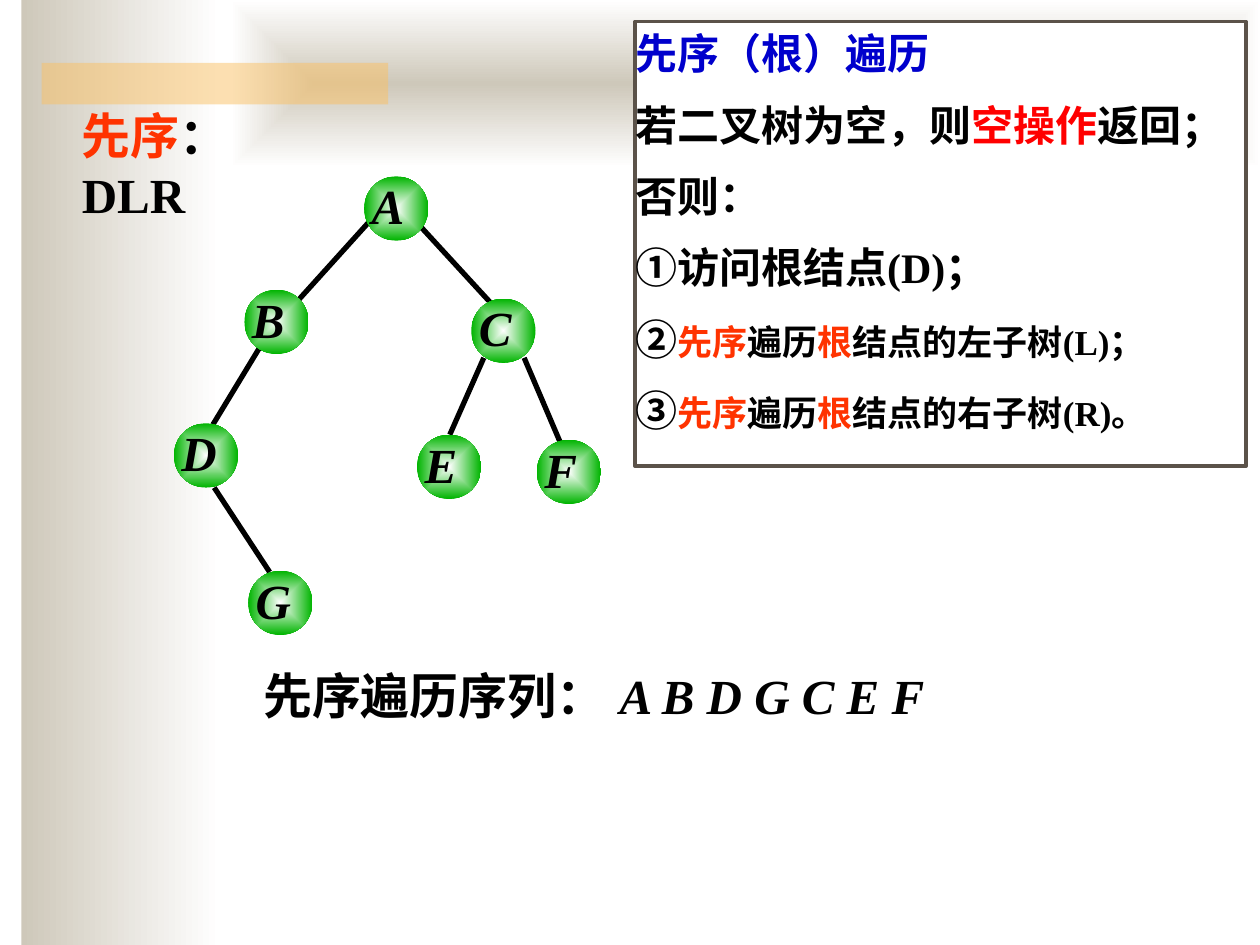
import pptx
import pptx.util
import pptx.dml.color
import pptx.enum.shapes
import pptx.enum.text
import pptx.oxml
import pptx.oxml.ns
from lxml import etree

RGB = pptx.dml.color.RGBColor
SHAPE = pptx.enum.shapes.MSO_SHAPE
ALIGN = pptx.enum.text.PP_ALIGN
qn = pptx.oxml.ns.qn

BLACK = RGB(0x00, 0x00, 0x00)
WHITE = RGB(0xFF, 0xFF, 0xFF)
SAND = RGB(0xCE, 0xC8, 0xBA)
AMBER = RGB(0xFA, 0xC1, 0x64)
GREEN = RGB(0x00, 0xB4, 0x00)
ORANGE = RGB(0xFF, 0x33, 0x00)
RED = RGB(0xFF, 0x00, 0x00)
BLUE = RGB(0x00, 0x00, 0xCC)
BROWN = RGB(0x5B, 0x52, 0x49)

COLS = 100  # square grid cells, a tenth of an inch each
LATIN, CJK = "Times New Roman", "Noto Sans CJK SC"


class Deck:
    def __init__(self):
        self.prs = pptx.Presentation()
        self.prs.slide_width = pptx.util.Inches(10)
        self.prs.slide_height = pptx.util.Inches(7.5)
        self.cell = self.prs.slide_width / COLS
        self.s = self.prs.slides.add_slide(self.prs.slide_layouts[1])
        self.shapes = self.s.shapes

    def grid(self, *cells):
        return [round(c * self.cell) for c in cells]

    def shape(self, kind, box):
        sp = self.shapes.add_shape(kind, *self.grid(*box))
        sp.shadow.inherit = False
        sp.line.fill.background()
        return sp

    def tint(self, box, color, alpha):
        sp = self.shape(SHAPE.RECTANGLE, box)
        sp.fill.solid()
        sp.fill.fore_color.rgb = color
        clr = sp._element.spPr.find(".//" + qn("a:srgbClr"))
        etree.SubElement(clr, qn("a:alpha"), val=str(alpha * 1000))

    def gradient(self, kind, box, start, end, centred=False):
        sp = self.shape(kind, box)
        sp.fill.gradient()
        sp.fill.gradient_angle = 0
        for stop, color in zip(sp.fill.gradient_stops, (start, end)):
            stop.color.rgb = color
        if centred:
            lin = sp._element.spPr.find(".//" + qn("a:lin"))
            route = etree.Element(qn("a:path"), {"path": "shape"})
            etree.SubElement(route, qn("a:fillToRect"),
                             {side: "50000" for side in "ltrb"})
            lin.getparent().replace(lin, route)

    def line(self, start, end):
        c = self.shapes.add_connector(pptx.enum.shapes.MSO_CONNECTOR.STRAIGHT,
                                      *self.grid(*start, *end))
        c.line.color.rgb = BLACK
        c.line.width = pptx.util.Pt(3)
        etree.SubElement(c._element.spPr, qn("a:effectLst"))

    def fill_text(self, sp, paragraphs, inset=(1, 0.5, 1, 0.5), before=0,
                  align=ALIGN.LEFT, italic=False):
        """Each run is (text, size, colour) with an optional font name."""
        tf = sp.text_frame
        tf.word_wrap = True
        tf.auto_size = pptx.enum.text.MSO_AUTO_SIZE.NONE
        tf.vertical_anchor = pptx.enum.text.MSO_ANCHOR.TOP
        (tf.margin_left, tf.margin_top,
         tf.margin_right, tf.margin_bottom) = self.grid(*inset)
        for i, runs in enumerate(paragraphs):
            p = tf.paragraphs[0] if i == 0 else tf.add_paragraph()
            p.alignment = align
            p.space_before = pptx.util.Pt(0)
            pPr = p._p.get_or_add_pPr()
            gap = pPr.find(qn("a:spcBef"))
            gap.remove(gap[0])
            etree.SubElement(gap, qn("a:spcPct"), val=str(before * 1000))
            pPr.set("marL", "0")
            pPr.set("indent", "0")
            etree.SubElement(pPr, qn("a:buNone"))
            for text, size, color, *font in runs:
                r = p.add_run()
                r.text = text
                r.font.size = pptx.util.Pt(size)
                r.font.bold, r.font.italic = True, italic
                r.font.color.rgb = color
                r.font.name = font[0] if font else LATIN
                rPr = r._r.get_or_add_rPr()
                rPr.set("lang", "zh-CN")
                etree.SubElement(rPr, qn("a:ea"), typeface=CJK)

    def text(self, box, runs, **style):
        sp = self.shapes.add_textbox(*self.grid(*box))
        self.fill_text(sp, [runs], **style)

    def placeholder(self, idx, box, paragraphs, **style):
        sp = self.s.placeholders[idx]
        sp.left, sp.top, sp.width, sp.height = self.grid(*box)
        self.s.shapes._spTree.append(sp._element)  # in front of the bands
        self.fill_text(sp, paragraphs, **style)
        return sp

    def node(self, letter, col, row):
        self.gradient(SHAPE.OVAL, (col, row, 5.1, 5.1), WHITE, GREEN, True)
        self.text((col + 0.6, row - 0.45, 4.3, 6.7), [(letter, 28, BLACK)],
                  inset=(0, 0.4, 0, 0), italic=True)


def subtree_step(number, rest):
    return [(number, 24, BLACK), ("先序", 20, ORANGE), ("遍历", 20, BLACK),
            ("根", 20, ORANGE), (rest, 20, BLACK)]


def main():
    d = Deck()

    # Background bands
    d.gradient(SHAPE.RECTANGLE, (1.7, 0, 15.8, 75), SAND, WHITE)
    d.gradient(SHAPE.RECTANGLE, (18.3, 0, 81.7, 13.3), SAND, WHITE, True)
    d.tint((3.3, 5, 27.5, 3.3), AMBER, 50)

    # Traversal result
    spaced = dict(before=50, align=ALIGN.JUSTIFY)
    d.text((19.9, 52.3, 56, 5.7), [("先序遍历序列：", 28, BLACK)], **spaced)

    # Binary tree: edges behind nodes
    d.shapes = d.s.shapes.add_group_shape().shapes
    edges = [((29.3, 17.6), (23.7, 23.8)), ((33.4, 18), (39, 24.1)),
             ((20.6, 27.6), (16.9, 33.7)), ((17, 38.7), (21.4, 45.4)),
             ((38.4, 28.4), (35.7, 34.5)), ((41.6, 28.4), (44.5, 35.2))]
    for start, end in edges:
        d.line(start, end)
    nodes = {"A": (28.9, 14), "B": (19.4, 23), "C": (37.4, 23.7),
             "D": (13.8, 33.6), "E": (33.1, 34.5), "F": (42.6, 34.9),
             "G": (19.7, 45.3)}
    for letter, corner in nodes.items():
        d.node(letter, *corner)
    d.shapes = d.s.shapes

    d.text((48.2, 52.3, 37.9, 5.7), [(" ".join("ABDGCEF"), 28, BLACK)],
           italic=True, **spaced)

    # Heading, with a right inset that wraps it after the colon
    d.placeholder(0, (5.5, 7.9, 22.1, 5.7),
                  [[("先序", 28, ORANGE), ("：DLR", 28, BLACK)]],
                  inset=(1, 0.5, 5, 0.5), before=20)

    # Algorithm box
    steps = [
        [("先序（根）遍历", 24, BLUE, CJK)],
        [("若二叉树为空，则", 24, BLACK), ("空操作", 24, RED),
         ("返回；", 24, BLACK)],
        [("否则：", 24, BLACK)],
        [("①访问根结点(D)；", 24, BLACK)],
        subtree_step("②", "结点的左子树(L)；"),
        subtree_step("③", "结点的右子树(R)。"),
    ]
    box = d.placeholder(1, (50.4, 1.7, 48.5, 35.3), steps,
                        inset=(0, 0.5, 0, 0.5), **spaced)
    box.fill.solid()
    box.fill.fore_color.rgb = WHITE
    box.line.color.rgb = BROWN
    box.line.width = pptx.util.Pt(2)

    d.prs.save("out.pptx")


if __name__ == "__main__":
    main()
